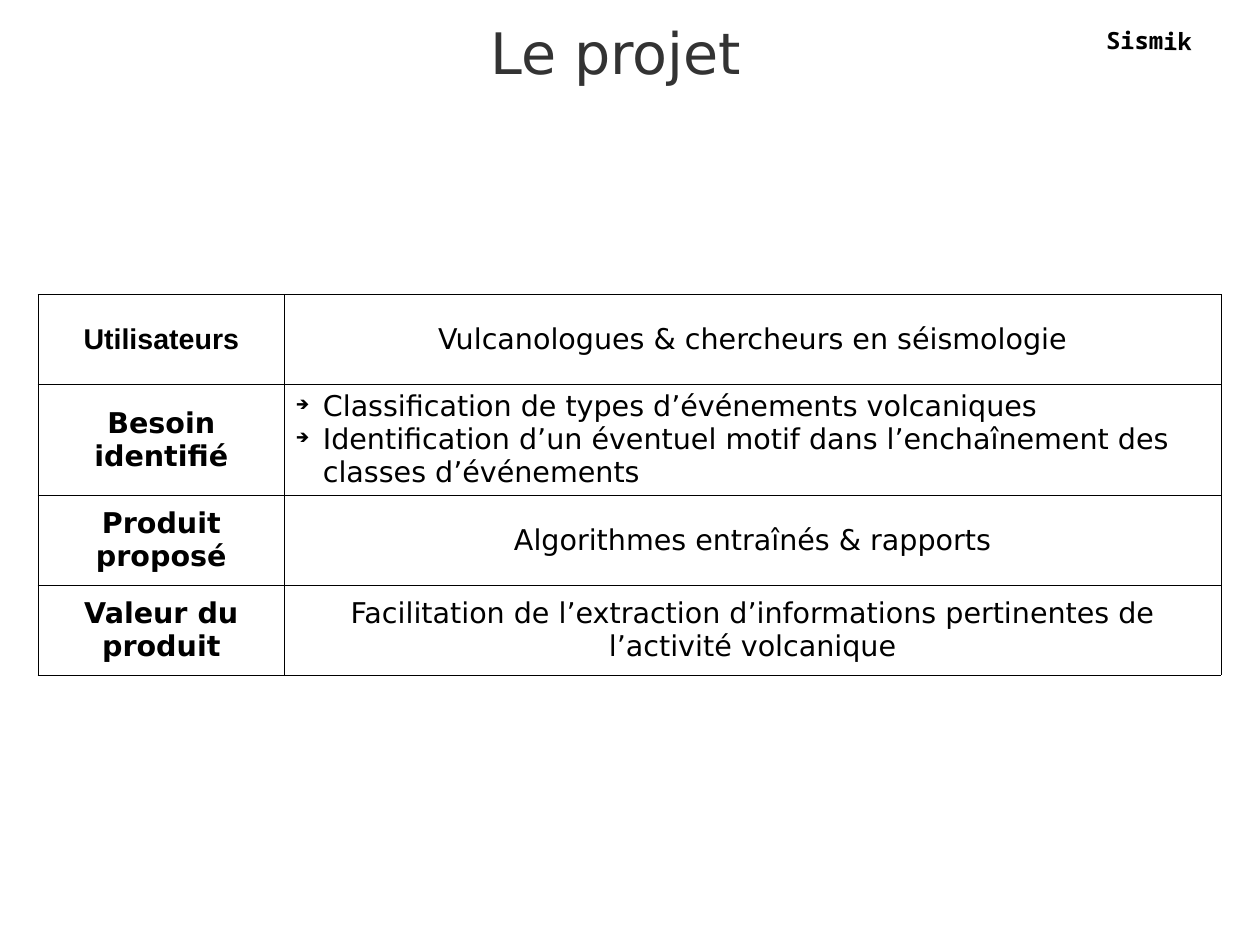
from pptx import Presentation
from pptx.dml.color import RGBColor
from pptx.enum.text import MSO_ANCHOR, PP_ALIGN
from pptx.oxml import parse_xml
from pptx.oxml.ns import nsdecls
from pptx.util import Pt

BLACK = "000000"
BODY_FONT = "DejaVu Sans"
ROWS = [
    ("Utilisateurs", ["Vulcanologues & chercheurs en séismologie"]),
    ("Besoin identifié", [
        "Classification de types d’événements volcaniques",
        "Identification d’un éventuel motif dans l’enchaînement des classes d’événements",
    ]),
    ("Produit proposé", ["Algorithmes entraînés & rapports"]),
    ("Valeur du produit", [
        "Facilitation de l’extraction d’informations pertinentes de l’activité volcanique",
    ]),
]
ROW_HEIGHT = 56.6
COLUMN_WIDTHS = [155.2, 590]


def color(hex_string):
    """Return the colour for a hex string."""
    return RGBColor.from_string(hex_string)


def format_runs(paragraph, size, font_name, hex_string=BLACK, bold=False):
    """Apply one character format to every run of a paragraph."""
    for run in paragraph.runs:
        run.font.size = Pt(size)
        run.font.name = font_name
        run.font.bold = bold
        run.font.color.rgb = color(hex_string)


def add_arrow_bullet(paragraph):
    """Give a paragraph a small arrow bullet with a hanging indent."""
    properties = paragraph._p.get_or_add_pPr()
    properties.set("marL", str(Pt(17)))
    properties.set("indent", str(-Pt(17)))
    for element in (
        f'<a:buClr {nsdecls("a")}><a:srgbClr val="{BLACK}"/></a:buClr>',
        f'<a:buSzPct {nsdecls("a")} val="45000"/>',
        f'<a:buChar {nsdecls("a")} char="➔"/>',
    ):
        properties.append(parse_xml(element))


def add_borders(cell):
    """Draw a thin black line on the four sides of a cell."""
    properties = cell._tc.get_or_add_tcPr()
    for side in ("lnL", "lnR", "lnT", "lnB"):
        properties.append(parse_xml(
            f'<a:{side} {nsdecls("a")} w="{Pt(0.57)}"><a:solidFill>'
            f'<a:srgbClr val="{BLACK}"/></a:solidFill></a:{side}>'
        ))


def fill_cell(cell, lines, font_name, bold):
    """Write lines in a cell, as a bulleted list if there are several."""
    add_borders(cell)
    cell.fill.background()
    cell.vertical_anchor = MSO_ANCHOR.MIDDLE
    cell.text_frame.text = "\n".join(lines)
    for paragraph in cell.text_frame.paragraphs:
        if len(lines) > 1:
            add_arrow_bullet(paragraph)
        else:
            paragraph.alignment = PP_ALIGN.CENTER
        format_runs(paragraph, 18, font_name, bold=bold)


def set_title(slide, text):
    """Place and format the slide title."""
    title = slide.shapes.title
    title.left, title.top, title.width, title.height = Pt(216), Pt(0), Pt(344), Pt(65)
    frame = title.text_frame
    frame.margin_left = frame.margin_right = frame.margin_top = frame.margin_bottom = Pt(0)
    frame.vertical_anchor = MSO_ANCHOR.MIDDLE
    frame.text = text
    paragraph = frame.paragraphs[0]
    paragraph.alignment = PP_ALIGN.CENTER
    format_runs(paragraph, 36, BODY_FONT, "333333")


def add_project_name(slide, text):
    """Add the slightly turned project name in the top right corner."""
    box = slide.shapes.add_textbox(Pt(689.8), Pt(13), Pt(72), Pt(25))
    box.rotation = 0.6
    box.text_frame.word_wrap = True
    box.text_frame.text = text
    format_runs(box.text_frame.paragraphs[0], 15, "Noto Sans Mono", bold=True)


def add_project_table(slide):
    """Add the table that describes the project."""
    frame = slide.shapes.add_table(
        len(ROWS), len(COLUMN_WIDTHS), Pt(24), Pt(185.5),
        Pt(sum(COLUMN_WIDTHS)), Pt(ROW_HEIGHT * len(ROWS)),
    )
    table = frame.table
    table.first_row = table.horz_banding = False
    for column, width in zip(table.columns, COLUMN_WIDTHS):
        column.width = Pt(width)
    for index, (label, lines) in enumerate(ROWS):
        table.rows[index].height = Pt(ROW_HEIGHT)
        label_font = "Arial" if index == 0 else BODY_FONT
        fill_cell(table.cell(index, 0), [label], label_font, True)
        fill_cell(table.cell(index, 1), lines, BODY_FONT, False)


def main():
    """Build the slide and save it."""
    presentation = Presentation()
    presentation.slide_width = Pt(793.75)
    presentation.slide_height = Pt(595.25)
    slide = presentation.slides.add_slide(presentation.slide_layouts[5])
    set_title(slide, "Le projet")
    add_project_table(slide)
    add_project_name(slide, "Sismik")
    presentation.save("out.pptx")


if __name__ == "__main__":
    main()
